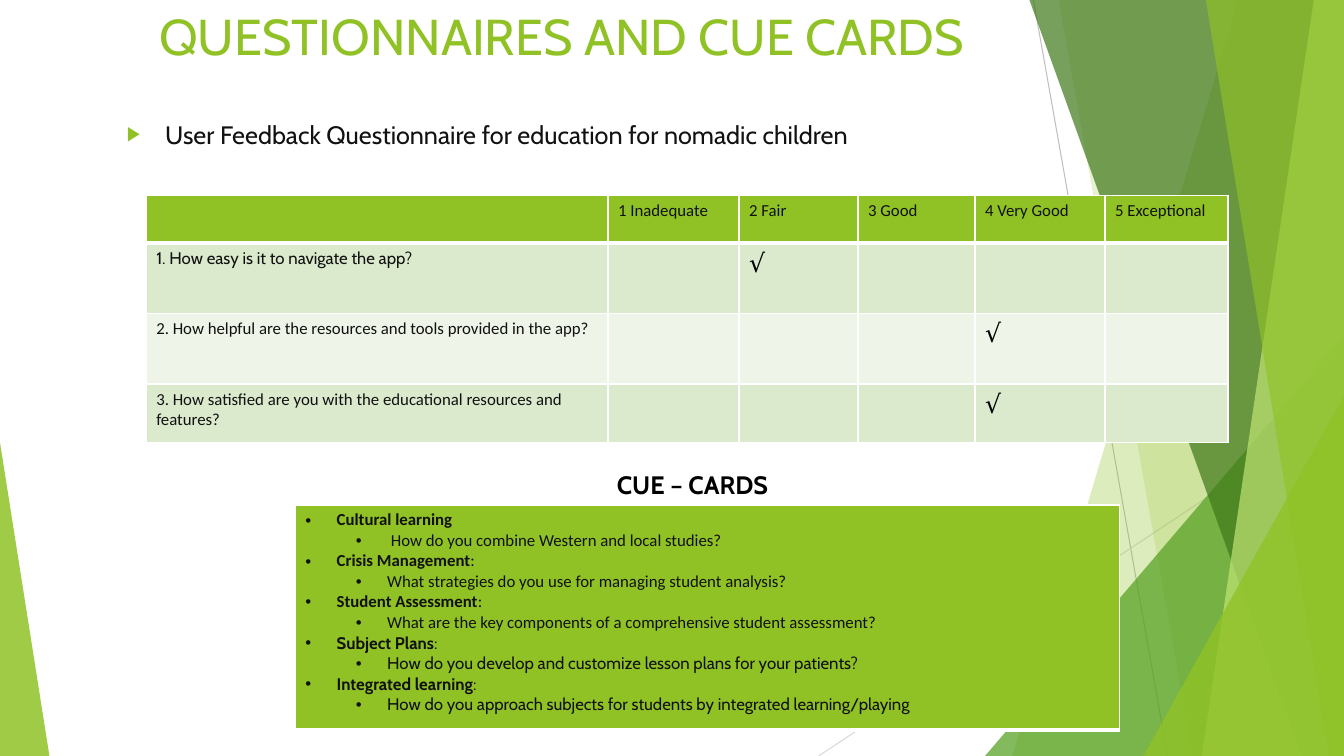
from lxml import etree
from pptx import Presentation
from pptx.dml.color import RGBColor
from pptx.enum.shapes import MSO_CONNECTOR, MSO_SHAPE
from pptx.oxml.ns import qn
from pptx.util import Inches, Pt

STRAIGHT = MSO_CONNECTOR.STRAIGHT
TRIANGLE = MSO_SHAPE.ISOSCELES_TRIANGLE
WIDTH, HEIGHT = 13.33, 7.5
HEAD, BODY = "Cabin", "Calibri"
COLORS = {
    "lime": "90C226", "green": "54A021", "forest": "3F7819", "pale": "C0E474",
    "band": "DBE9CD", "light_band": "EEF4E8", "white": "FFFFFF",
    "text": "111111", "black": "000000", "gray": "BFBFBF", "light_gray": "D9D9D9",
}

RATINGS = ["1 Inadequate", "2 Fair", "3 Good", "4 Very Good", "5 Exceptional"]
# question, font, chosen rating
QUESTIONS = [
    ("1. How easy is it to navigate the app?", HEAD, 2),
    ("2. How helpful are the resources and tools provided in the app?", BODY, 4),
    ("3. How satisfied are you with the educational resources and features?", BODY, 4),
]
# topic, text after the topic, question, topic font, question font
CUE_CARDS = [
    ("Cultural learning", "", " How do you combine Western and local studies?", BODY, BODY),
    ("Crisis Management", ":",
     "What strategies do you use for managing student analysis?", BODY, BODY),
    ("Student Assessment", ":",
     "What are the key components of a comprehensive student assessment?", BODY, BODY),
    ("Subject Plans", ":",
     "How do you develop and customize lesson plans for your patients?", HEAD, HEAD),
    ("Integrated learning", ":",
     "How do you approach subjects for students by integrated learning/playing", HEAD, HEAD),
]


def rgb(color):
    return RGBColor.from_string(COLORS[color])


class SlideBuilder:
    """Holds the slide and draws each kind of element in one style."""

    def __init__(self, slide):
        self.shapes = slide.shapes

    def line(self, start, end, color):
        connector = self.shapes.add_connector(STRAIGHT, *map(Inches, start + end))
        connector.line.color.rgb = rgb(color)
        connector.line.width = Pt(0.75)
        etree.SubElement(connector._element.spPr, qn("a:effectLst"))

    def paint(self, shape, color, opacity):
        """Fill a shape with a see-through colour; opacity is in percent."""
        shape.shadow.inherit = False
        shape.line.fill.background()
        shape.fill.solid()
        shape.fill.fore_color.rgb = rgb(color)
        value = shape._element.spPr.find(".//" + qn("a:srgbClr"))
        etree.SubElement(value, qn("a:alpha"), val=str(opacity * 1000))

    def shard(self, top, bottom, color, opacity):
        """Full-height band from a slanted left edge to the slide's right edge."""
        outline = self.shapes.build_freeform(Inches(top), 0)
        corners = [(WIDTH, 0), (WIDTH, HEIGHT), (bottom, HEIGHT)]
        outline.add_line_segments([(Inches(x), Inches(y)) for x, y in corners])
        self.paint(outline.convert_to_shape(), color, opacity)

    def triangle(self, left, top, width, apex, color, opacity):
        """Triangle standing on the slide's bottom edge."""
        shape = self.shapes.add_shape(
            TRIANGLE, *map(Inches, (left, top, width, HEIGHT - top)))
        shape.adjustments[0] = apex
        self.paint(shape, color, opacity)

    def style(self, font, name, size, color="text", bold=None):
        font.name, font.size, font.bold = name, Pt(size), bold
        font.color.rgb = rgb(color)

    def bullet(self, para, mark, left, hanging, color=None, percent=None):
        props = para._p.get_or_add_pPr()
        props.set("marL", str(Inches(left)))
        props.set("indent", str(-Inches(hanging)))
        if color:
            holder = etree.SubElement(props, qn("a:buClr"))
            etree.SubElement(holder, qn("a:srgbClr"), val=COLORS[color])
        if percent:
            etree.SubElement(props, qn("a:buSzPct"), val=str(percent * 1000))
        etree.SubElement(props, qn("a:buFont"), typeface="Arial")
        etree.SubElement(props, qn("a:buChar"), char=mark)

    def text(self, place, words, size, color, bold=None):
        box = self.shapes.add_textbox(*map(Inches, place))
        box.text_frame.word_wrap = True
        para = box.text_frame.paragraphs[0]
        para.text = words
        self.style(para.font, HEAD, size, color, bold)
        return para

    def table(self, left, top, columns, rows):
        frame = self.shapes.add_table(
            len(rows), len(columns),
            *map(Inches, (left, top, sum(columns), sum(rows))))
        table = frame.table
        table.first_row = table.horz_banding = False
        for column, width in zip(table.columns, columns):
            column.width = Inches(width)
        for row, height in zip(table.rows, rows):
            row.height = Inches(height)
        return table

    def cell(self, cell, color, top=1, bottom=1):
        """Fill a cell and give it white borders; top and bottom are in points."""
        props = cell._tc.get_or_add_tcPr()
        for side, weight in (("L", 1), ("R", 1), ("T", top), ("B", bottom)):
            edge = etree.SubElement(props, qn("a:ln" + side), w=str(Pt(weight)))
            fill = etree.SubElement(edge, qn("a:solidFill"))
            etree.SubElement(fill, qn("a:srgbClr"), val=COLORS["white"])
        cell.fill.solid()
        cell.fill.fore_color.rgb = rgb(color)

    def cell_text(self, cell, words, name=BODY, size=12, color="text"):
        para = cell.text_frame.paragraphs[0]
        para.text = words
        self.style(para.font, name, size, color)

    def questionnaire(self):
        table = self.table(1.45, 1.94, [4.58, 1.3, 1.18, 1.16, 1.29, 1.22],
                           [0.47, 0.7, 0.7, 0.58])
        for index in range(len(RATINGS) + 1):
            self.cell(table.cell(0, index), "lime", bottom=3)
        for index, rating in enumerate(RATINGS, 1):
            self.cell_text(table.cell(0, index), rating)
        for row, (question, font, chosen) in enumerate(QUESTIONS, 1):
            for index in range(len(RATINGS) + 1):
                self.cell(table.cell(row, index), "band" if row % 2 else "light_band",
                          top=3 if row == 1 else 1)
            self.cell_text(table.cell(row, 0), question, font)
            self.cell_text(table.cell(row, chosen), "√", HEAD, 18, "black")

    def cue_cards(self):
        card = self.table(2.93, 5.01, [8.17], [2.23]).cell(0, 0)
        self.cell(card, "lime", bottom=3)
        frame = card.text_frame
        for index, (topic, ending, question, topic_font, question_font) in enumerate(CUE_CARDS):
            para = frame.add_paragraph() if index else frame.paragraphs[0]
            self.bullet(para, "•", 0.31, 0.31)
            for words, bold in ((topic, True), (ending, False)):
                if words:
                    span = para.add_run()
                    span.text = words
                    self.style(span.font, topic_font, 12, bold=bold)
            para = frame.add_paragraph()
            para.level = 1
            para.text = question
            self.bullet(para, "•", 0.81, 0.31)
            self.style(para.font, question_font, 12)


def main():
    deck = Presentation()
    deck.slide_width, deck.slide_height = Inches(WIDTH), Inches(HEIGHT)
    page = SlideBuilder(deck.slides.add_slide(deck.slide_layouts[6]))

    page.line((10.25, 0), (11.58, HEIGHT), "gray")
    page.line((WIDTH, 4.03), (8.12, HEIGHT), "light_gray")
    page.shard(12.28, 10.04, "lime", 30)
    page.shard(10.5, 11.83, "lime", 20)
    page.triangle(9.77, 3.33, 3.56, 1, "green", 72)
    page.shard(10.21, 12.91, "forest", 70)
    page.shard(13.03, 11.92, "pale", 70)
    page.shard(11.96, 13.18, "lime", 65)
    page.triangle(11.34, 3.93, 1.99, 1, "lime", 80)
    page.triangle(0, 4.39, 0.49, 0, "lime", 85)

    page.text((1.48, 0, 10.96, 1.6), "QUESTIONNAIRES AND CUE CARDS", 36, "lime")
    para = page.text((1.16, 1.13, 9.1, 1.08),
                     "User Feedback Questionnaire for education for nomadic children",
                     18, "text")
    # Bullet elements come before the font, so the font is set again after them.
    para._p.remove(para._p.pPr)
    page.bullet(para, "▶", 0.38, 0.38, "lime", 80)
    page.style(para.font, HEAD, 18)
    page.questionnaire()
    page.text((6.02, 4.61, 3.99, 0.4), "CUE – CARDS", 18, "black", bold=True)
    page.cue_cards()
    deck.save("out.pptx")


if __name__ == "__main__":
    main()
